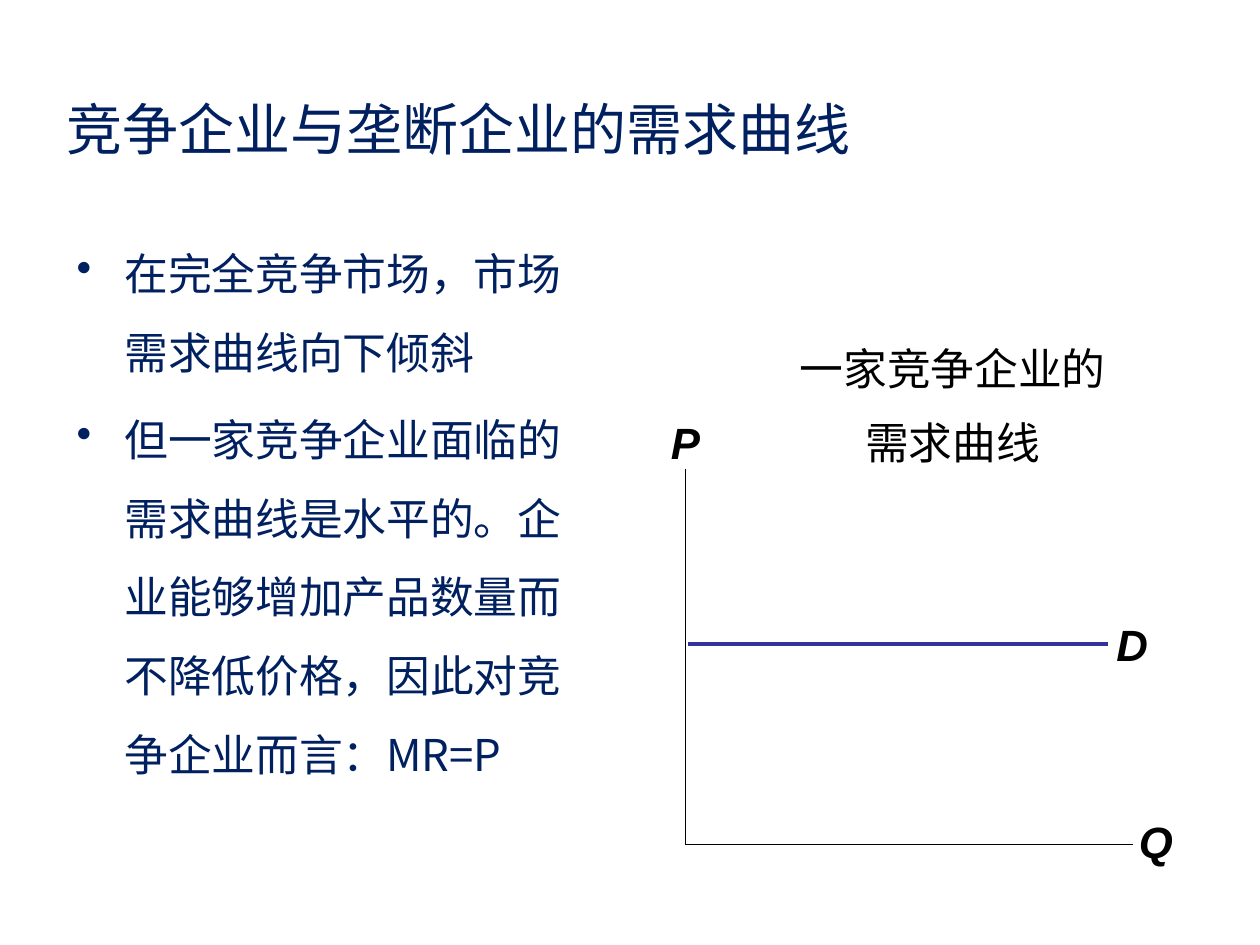
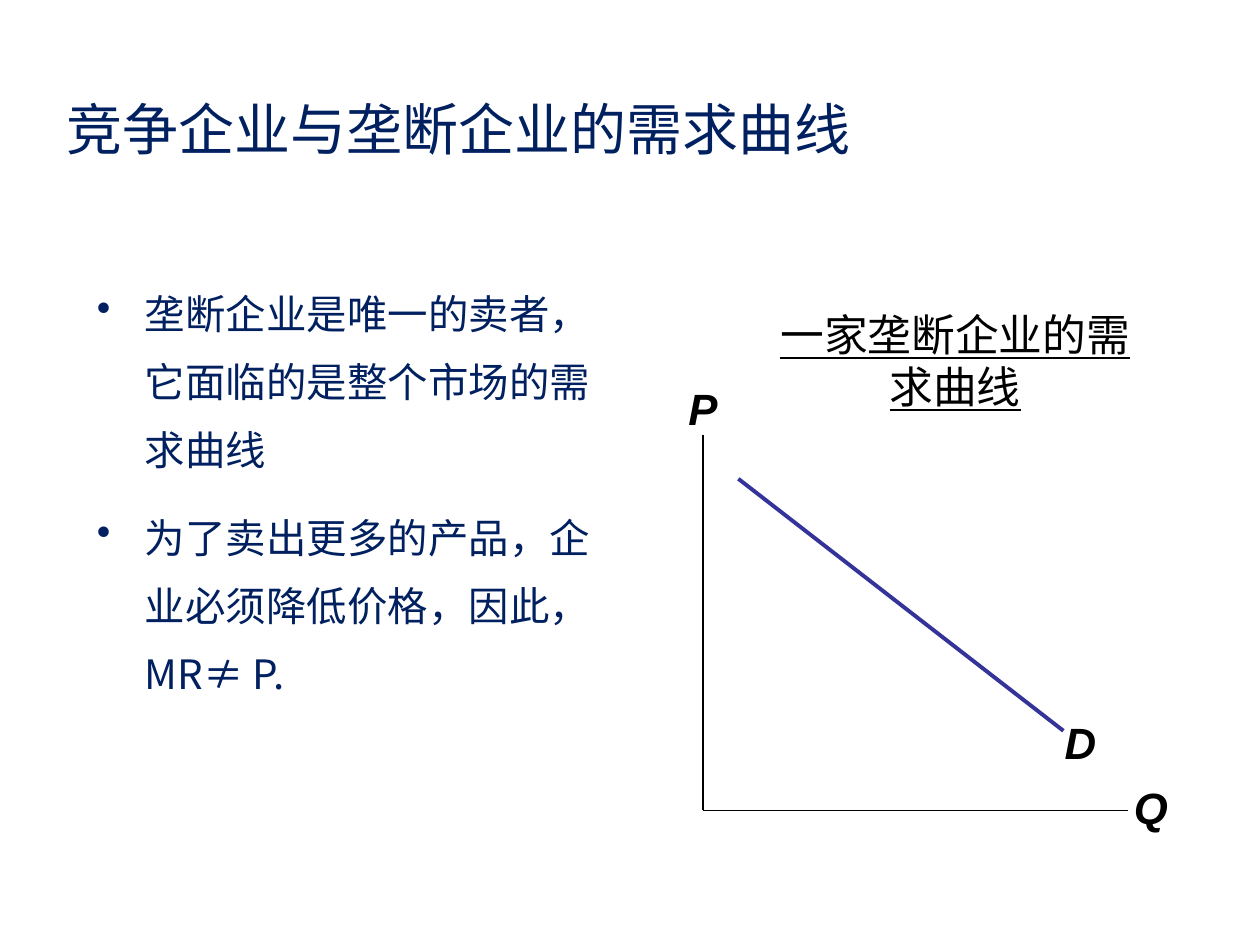
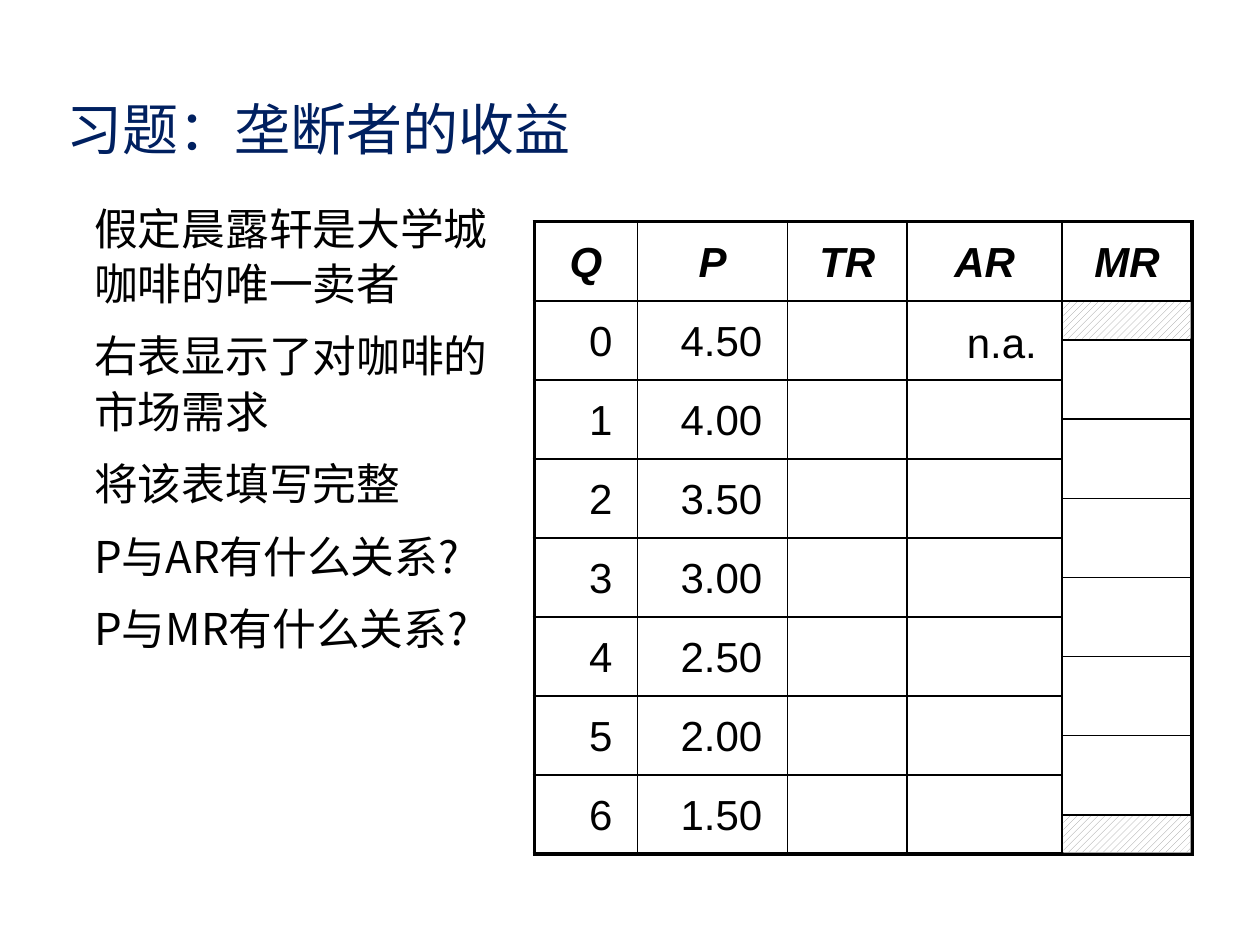
"""Build three slides on demand curves and revenue of competitive and monopoly firms."""
from dataclasses import dataclass

import lxml.etree
import pptx
import pptx.dml.color
import pptx.enum.dml
import pptx.enum.shapes
import pptx.enum.text
import pptx.oxml.ns
import pptx.presentation
import pptx.shapes.autoshape
import pptx.slide
import pptx.table
import pptx.text.text
import pptx.util
from pptx.util import Inches

ALIGN = pptx.enum.text.PP_ALIGN
ANCHOR = pptx.enum.text.MSO_ANCHOR


@dataclass(frozen=True)
class Theme:
    navy: str = "002060"
    ink: str = "000000"
    paper: str = "FFFFFF"
    curve: str = "333399"
    hatch: str = "969696"
    chinese: str = "Noto Sans CJK SC"
    latin: str = "Arial"
    title_size: float = 32
    body_size: float = 25
    compact_size: float = 23.1
    table_size: float = 24
    thin: float = 0.75
    rule: float = 1
    thick: float = 2.25


THEME = Theme()


@dataclass(frozen=True)
class Frame:
    left: float
    top: float
    width: float
    height: float

    def lengths(self) -> list[pptx.util.Length]:
        return [Inches(value) for value in (self.left, self.top, self.width, self.height)]


@dataclass(frozen=True)
class Style:
    size: float = THEME.body_size
    font: str = THEME.chinese
    color: str = THEME.ink
    emphasis: bool = False
    underline: bool = False
    align: ALIGN = ALIGN.LEFT
    line_spacing: float = 1.0
    before: float = 0
    bullet: bool = False


@dataclass(frozen=True)
class Point:
    x: float
    y: float


@dataclass(frozen=True)
class Diagram:
    origin: Point
    axis_top: float
    axis_right: float
    demand_start: Point
    demand_end: Point
    demand_label: Point
    caption: tuple[str, ...]
    caption_frame: Frame
    caption_style: Style


@dataclass(frozen=True)
class DemandPage:
    bullets: tuple[str, ...]
    bullet_frame: Frame
    bullet_style: Style
    diagram: Diagram


TITLE = Style(size=THEME.title_size, color=THEME.navy)
AXIS_LABEL = Style(font=THEME.latin, emphasis=True)
AXIS_LABEL_CENTERED = Style(font=THEME.latin, emphasis=True, align=ALIGN.CENTER)
TABLE_HEAD = Style(THEME.table_size, THEME.latin, emphasis=True, align=ALIGN.CENTER, line_spacing=1.05)
TABLE_VALUE = Style(THEME.table_size, THEME.latin, align=ALIGN.RIGHT, line_spacing=1.05)
QUESTION = Style(line_spacing=1.05, before=10)

DEMAND_TITLE = "竞争企业与垄断企业的需求曲线"
DEMAND_PAGES = (
    DemandPage(
        ("在完全竞争市场，市场需求曲线向下倾斜",
         "但一家竞争企业面临的需求曲线是水平的。企业能够增加产品数量而不降低价格，因此对竞争企业而言：MR=P"),
        Frame(0.51, 1.7, 4.17, 4.73),
        Style(color=THEME.navy, line_spacing=1.5, before=5, bullet=True),
        Diagram(Point(5.44, 6.7), 3.72, 8.99, Point(5.46, 5.11), Point(8.79, 5.11), Point(8.86, 4.9),
                ("一家竞争企业的", "需求曲线"), Frame(5.87, 2.66, 3.38, 1.15),
                Style(align=ALIGN.CENTER, before=12.5)),
    ),
    DemandPage(
        ("垄断企业是唯一的卖者，它面临的是整个市场的需求曲线",
         "为了卖出更多的产品，企业必须降低价格，因此，MR≠ P."),
        Frame(0.67, 2.09, 4.29, 3.62),
        Style(THEME.compact_size, color=THEME.navy, line_spacing=1.4, before=11.5, bullet=True),
        Diagram(Point(5.58, 6.43), 3.45, 8.95, Point(5.86, 3.8), Point(8.44, 5.8), Point(8.45, 5.68),
                ("一家垄断企业的需求曲线",), Frame(5.97, 2.39, 3.22, 0.94),
                Style(align=ALIGN.CENTER, underline=True)),
    ),
)

EXERCISE_TITLE = "习题：垄断者的收益"
QUESTIONS = (
    "假定晨露轩是大学城咖啡的唯一卖者",
    "右表显示了对咖啡的市场需求",
    "将该表填写完整",
    "P与AR有什么关系?",
    "P与MR有什么关系?",
)
HEADINGS = ("Q", "P", "TR", "AR", "MR")
PRICES = ("4.50", "4.00", "3.50", "3.00", "2.50", "2.00", "1.50")
COLUMN_WIDTHS = (0.82, 1.19, 0.95, 1.23, 1.03)
TABLE_FRAME = Frame(4.24, 1.76, 5.23, 5.02)
ROW_HEIGHT = TABLE_FRAME.height / (len(PRICES) + 1)


def rgb(color: str) -> pptx.dml.color.RGBColor:
    return pptx.dml.color.RGBColor.from_string(color)


def add_element(parent: lxml.etree._Element, tag: str, **attributes: str) -> lxml.etree._Element:
    return lxml.etree.SubElement(parent, pptx.oxml.ns.qn(tag), attributes)


def write_paragraph(para: pptx.text.text._Paragraph, text: str, style: Style) -> None:
    para.alignment = style.align
    para.line_spacing = style.line_spacing
    para.space_before = pptx.util.Pt(style.before)
    if style.bullet:
        properties = para._p.get_or_add_pPr()
        properties.set("marL", str(Inches(0.38)))
        properties.set("indent", str(-Inches(0.38)))
        add_element(properties, "a:buChar", char="•")
    span = para.add_run()
    span.text = text
    span.font.size = pptx.util.Pt(style.size)
    span.font.name = style.font
    span.font.color.rgb = rgb(style.color)
    span.font.bold = span.font.italic = style.emphasis
    span.font.underline = style.underline
    add_element(span._r.get_or_add_rPr(), "a:ea", typeface=style.font)


def add_text(page: pptx.slide.Slide, frame: Frame, texts: tuple[str, ...], style: Style,
             anchor: ANCHOR = ANCHOR.TOP) -> pptx.text.text.TextFrame:
    content = page.shapes.add_textbox(*frame.lengths()).text_frame
    content.word_wrap = True
    content.vertical_anchor = anchor
    for index, text in enumerate(texts):
        para = content.add_paragraph() if index else content.paragraphs[0]
        write_paragraph(para, text, style)
    return content


def add_line(page: pptx.slide.Slide, start: Point, end: Point, color: str, width: float) -> None:
    line = page.shapes.add_connector(
        pptx.enum.shapes.MSO_CONNECTOR.STRAIGHT,
        Inches(start.x), Inches(start.y), Inches(end.x), Inches(end.y))
    line.line.color.rgb = rgb(color)
    line.line.width = pptx.util.Pt(width)
    add_element(line._element.spPr, "a:effectLst")


def add_page(deck: pptx.presentation.Presentation, title: str) -> pptx.slide.Slide:
    page = deck.slides.add_slide(deck.slide_layouts[6])
    page.background.fill.solid()
    page.background.fill.fore_color.rgb = rgb(THEME.paper)
    add_text(page, Frame(0.43, 0.76, 8.01, 0.51), (title,), TITLE, ANCHOR.MIDDLE)
    return page


def draw_diagram(page: pptx.slide.Slide, diagram: Diagram) -> None:
    origin = diagram.origin
    add_line(page, diagram.demand_start, diagram.demand_end, THEME.curve, THEME.thick)
    add_line(page, Point(origin.x, diagram.axis_top), origin, THEME.ink, THEME.thin)
    add_line(page, origin, Point(diagram.axis_right, origin.y), THEME.ink, THEME.thin)
    label = add_text(page, Frame(diagram.demand_label.x, diagram.demand_label.y, 0.35, 0.42), ("D",), AXIS_LABEL)
    label.margin_left = label.margin_top = label.margin_right = label.margin_bottom = 0
    add_text(page, Frame(origin.x - 0.27, diagram.axis_top - 0.47, 0.54, 0.52), ("P",), AXIS_LABEL_CENTERED)
    add_text(page, Frame(diagram.axis_right - 0.05, origin.y - 0.28, 0.62, 0.52), ("Q",), AXIS_LABEL)
    add_text(page, diagram.caption_frame, diagram.caption, diagram.caption_style)


def add_demand_page(deck: pptx.presentation.Presentation, content: DemandPage) -> None:
    page = add_page(deck, DEMAND_TITLE)
    add_text(page, content.bullet_frame, content.bullets, content.bullet_style)
    draw_diagram(page, content.diagram)


def set_borders(cell: pptx.table._Cell, outer: dict[str, bool]) -> None:
    properties = cell._tc.get_or_add_tcPr()
    for side, is_outer in outer.items():
        width = pptx.util.Pt(THEME.thick if is_outer else THEME.rule)
        border = add_element(properties, f"a:ln{side}", w=str(width))
        add_element(add_element(border, "a:solidFill"), "a:srgbClr", val=THEME.ink)


def add_revenue_table(page: pptx.slide.Slide) -> None:
    rows = [HEADINGS] + [(str(quantity), price, "", "", "") for quantity, price in enumerate(PRICES)]
    table = page.shapes.add_table(len(rows), len(HEADINGS), *TABLE_FRAME.lengths()).table
    table.first_row = table.horz_banding = False
    for column, width in zip(table.columns, COLUMN_WIDTHS):
        column.width = Inches(width)
    for row, values in enumerate(rows):
        for column, text in enumerate(values):
            cell = table.cell(row, column)
            set_borders(cell, {"L": column == 0, "R": column == len(HEADINGS) - 1,
                               "T": row == 0, "B": row == len(rows) - 1})
            cell.fill.background()
            cell.vertical_anchor = ANCHOR.MIDDLE
            if row:
                cell.margin_right = Inches(0.2)
            if text:
                write_paragraph(cell.text_frame.paragraphs[0], text, TABLE_VALUE if row else TABLE_HEAD)


def add_rectangle(page: pptx.slide.Slide, frame: Frame) -> pptx.shapes.autoshape.Shape:
    box = page.shapes.add_shape(pptx.enum.shapes.MSO_SHAPE.RECTANGLE, *frame.lengths())
    box.shadow.inherit = False
    return box


def add_marginal_cells(page: pptx.slide.Slide) -> None:
    first_top = TABLE_FRAME.top + 1.5 * ROW_HEIGHT
    steps = len(PRICES) - 1
    for step in range(steps):
        box = add_rectangle(page, Frame(8.43, first_top + step * ROW_HEIGHT, 1.02, ROW_HEIGHT))
        box.fill.solid()
        box.fill.fore_color.rgb = rgb(THEME.paper)
        box.line.color.rgb = rgb(THEME.ink)
        box.line.width = pptx.util.Pt(THEME.rule)
    for top in (TABLE_FRAME.top + ROW_HEIGHT + 0.01, first_top + steps * ROW_HEIGHT + 0.01):
        box = add_rectangle(page, Frame(8.44, top, 1.01, 0.29))
        box.fill.patterned()
        box.fill.pattern = pptx.enum.dml.MSO_PATTERN.WIDE_UPWARD_DIAGONAL
        box.fill.fore_color.rgb = rgb(THEME.hatch)
        box.fill.back_color.rgb = rgb(THEME.paper)
        box.line.fill.background()


def add_exercise_page(deck: pptx.presentation.Presentation) -> None:
    page = add_page(deck, EXERCISE_TITLE)
    add_revenue_table(page)
    add_marginal_cells(page)
    unavailable = add_text(page, Frame(7.2, 2.39, 1.23, 0.63), ("n.a.",), TABLE_VALUE, ANCHOR.MIDDLE)
    unavailable.margin_right = Inches(0.2)
    add_text(page, Frame(0.65, 1.53, 3.5, 3.95), QUESTIONS, QUESTION)


def main() -> None:
    deck = pptx.Presentation()
    deck.slide_width, deck.slide_height = Inches(10), Inches(7.5)
    for content in DEMAND_PAGES:
        add_demand_page(deck, content)
    add_exercise_page(deck)
    deck.save("out.pptx")


if __name__ == "__main__":
    main()
